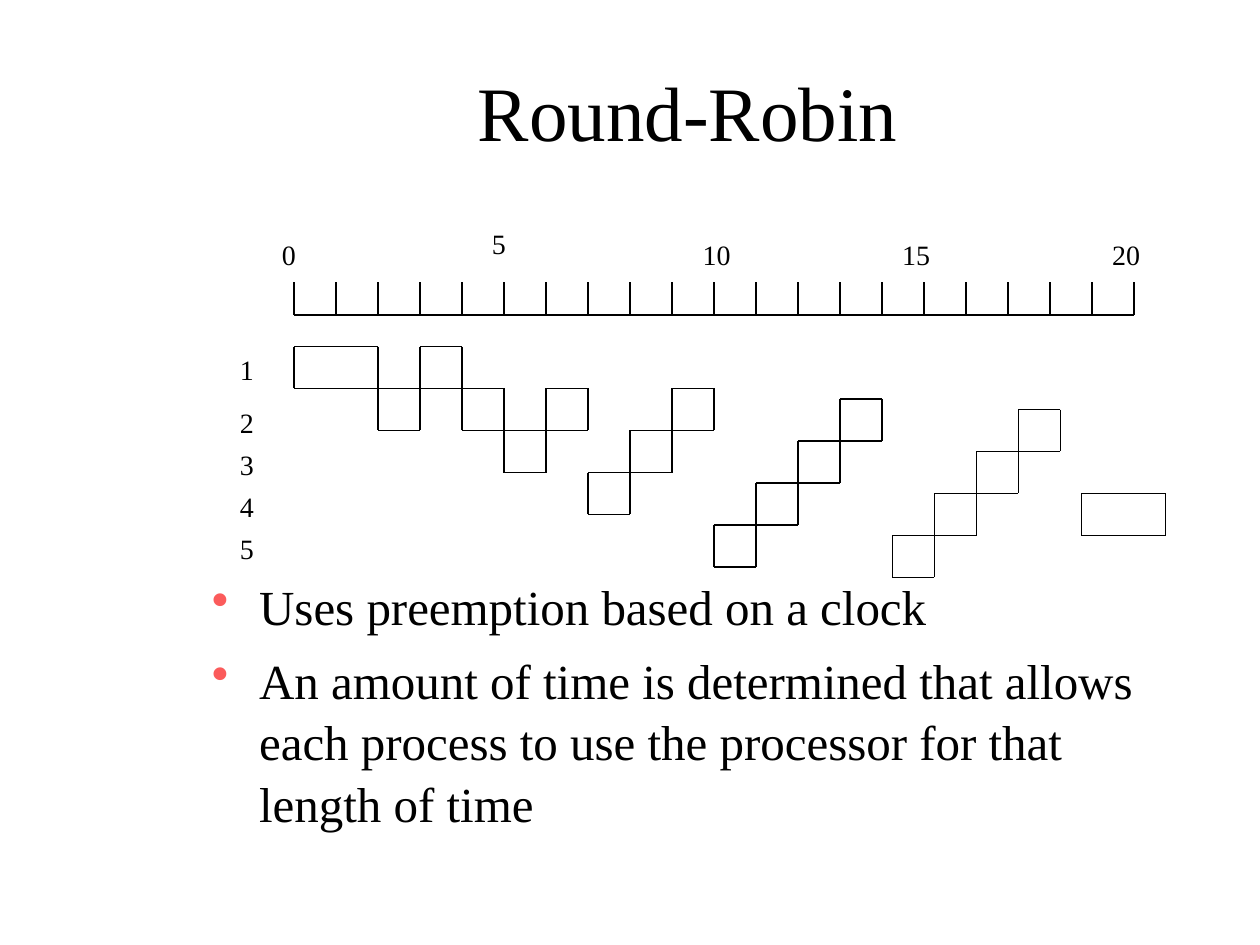
from dataclasses import dataclass

from lxml import etree
from pptx import Presentation
from pptx import util as u
from pptx.dml.color import RGBColor
from pptx.enum import shapes, text
from pptx.oxml import ns

COLORS = {"ink": "000000", "bullet": "FB5B5B"}
FONT = "Times New Roman"
UNIT = 24
AXIS_LEFT, AXIS_TOP, TICK_TOP, TICKS = 168, 180, 161.3, 21
BULLETS = (
    "Uses preemption based on a clock",
    "An amount of time is determined that allows each process to use "
    "the processor for that length of time",
)


@dataclass(frozen=True)
class Label:
    caption: str
    left: float
    top: float


@dataclass(frozen=True)
class Run:
    left: float
    top: float
    count: int = 1
    width: float = UNIT


TIME_LABELS = (
    Label("0", 154, 132),
    Label("5", 274, 126),
    Label("10", 394.5, 132),
    Label("15", 508.5, 132),
    Label("20", 628.5, 132),
)
PROCESS_LABELS = tuple(
    Label(str(n), 130, top) for n, top in enumerate((198, 228, 252, 276, 300), 1)
)
RUNS = (
    Run(168, 198, width=2 * UNIT),
    Run(216, 222, 2),
    Run(264, 222),
    Run(288, 246, 2),
    Run(336, 270, 3),
    Run(408, 300, 4),
    Run(510, 306, 4),
    Run(618, 282, width=2 * UNIT),
)


def add_line(s, x1: float, y1: float, x2: float, y2: float) -> None:
    sp = s.shapes.add_connector(
        shapes.MSO_CONNECTOR.STRAIGHT, u.Pt(x1), u.Pt(y1), u.Pt(x2), u.Pt(y2)
    )
    sp.line.color.rgb = RGBColor.from_string(COLORS["ink"])
    sp.line.width = u.Pt(1)
    etree.SubElement(sp._element.spPr, ns.qn("a:effectLst"))


def add_text(s, caption: str, left: float, top: float, width: float,
             height: float, size: float, wrap: bool = True):
    sp = s.shapes.add_textbox(u.Pt(left), u.Pt(top), u.Pt(width), u.Pt(height))
    tf = sp.text_frame
    tf.word_wrap = wrap
    tf.text = caption
    for p in tf.paragraphs:
        for r in p.runs:
            r.font.name = FONT
            r.font.size = u.Pt(size)
            r.font.color.rgb = RGBColor.from_string(COLORS["ink"])
    return tf


def add_label(s, label: Label) -> None:
    width = 14.4 + 8 * len(label.caption)
    tf = add_text(s, label.caption, label.left, label.top, width, 25.9, 16, False)
    tf.auto_size = text.MSO_AUTO_SIZE.SHAPE_TO_FIT_TEXT


def add_block(s, left: float, top: float, width: float) -> None:
    right, bottom = left + width, top + UNIT
    for y in (top, bottom):
        add_line(s, left, y, right, y)
    for x in (left, right):
        add_line(s, x, top, x, bottom)


def add_run(s, run: Run) -> None:
    for i in range(run.count):
        add_block(s, run.left + i * UNIT, run.top - i * UNIT, run.width)


def add_timeline(s) -> None:
    add_line(s, AXIS_LEFT, AXIS_TOP, AXIS_LEFT + (TICKS - 1) * UNIT, AXIS_TOP)
    for i in range(TICKS):
        x = AXIS_LEFT + i * UNIT
        add_line(s, x, AXIS_TOP, x, TICK_TOP)


def add_bullets(s) -> None:
    tf = add_text(s, "\n".join(BULLETS), 114, 324, 570, 156, 28)
    for i, p in enumerate(tf.paragraphs):
        p.line_spacing = 1.05
        p.space_before = u.Pt(7 if i else 0)
        pPr = p._p.get_or_add_pPr()
        pPr.set("marL", str(u.Pt(27)))
        pPr.set("indent", str(u.Pt(-27)))
        color = etree.SubElement(pPr, ns.qn("a:buClr"))
        etree.SubElement(color, ns.qn("a:srgbClr"), val=COLORS["bullet"])
        etree.SubElement(pPr, ns.qn("a:buChar"), char="•")


def main() -> None:
    """Build the round-robin scheduling slide."""
    prs = Presentation()
    prs.slide_width, prs.slide_height = u.Pt(720), u.Pt(540)
    s = prs.slides.add_slide(prs.slide_layouts[6])
    title = add_text(s, "Round-Robin", 114, 18, 558, 90, 44)
    title.vertical_anchor = text.MSO_ANCHOR.MIDDLE
    title.paragraphs[0].alignment = text.PP_ALIGN.CENTER
    add_bullets(s)
    add_timeline(s)
    for label in TIME_LABELS + PROCESS_LABELS:
        add_label(s, label)
    for run in RUNS:
        add_run(s, run)
    prs.save("out.pptx")


if __name__ == "__main__":
    main()
